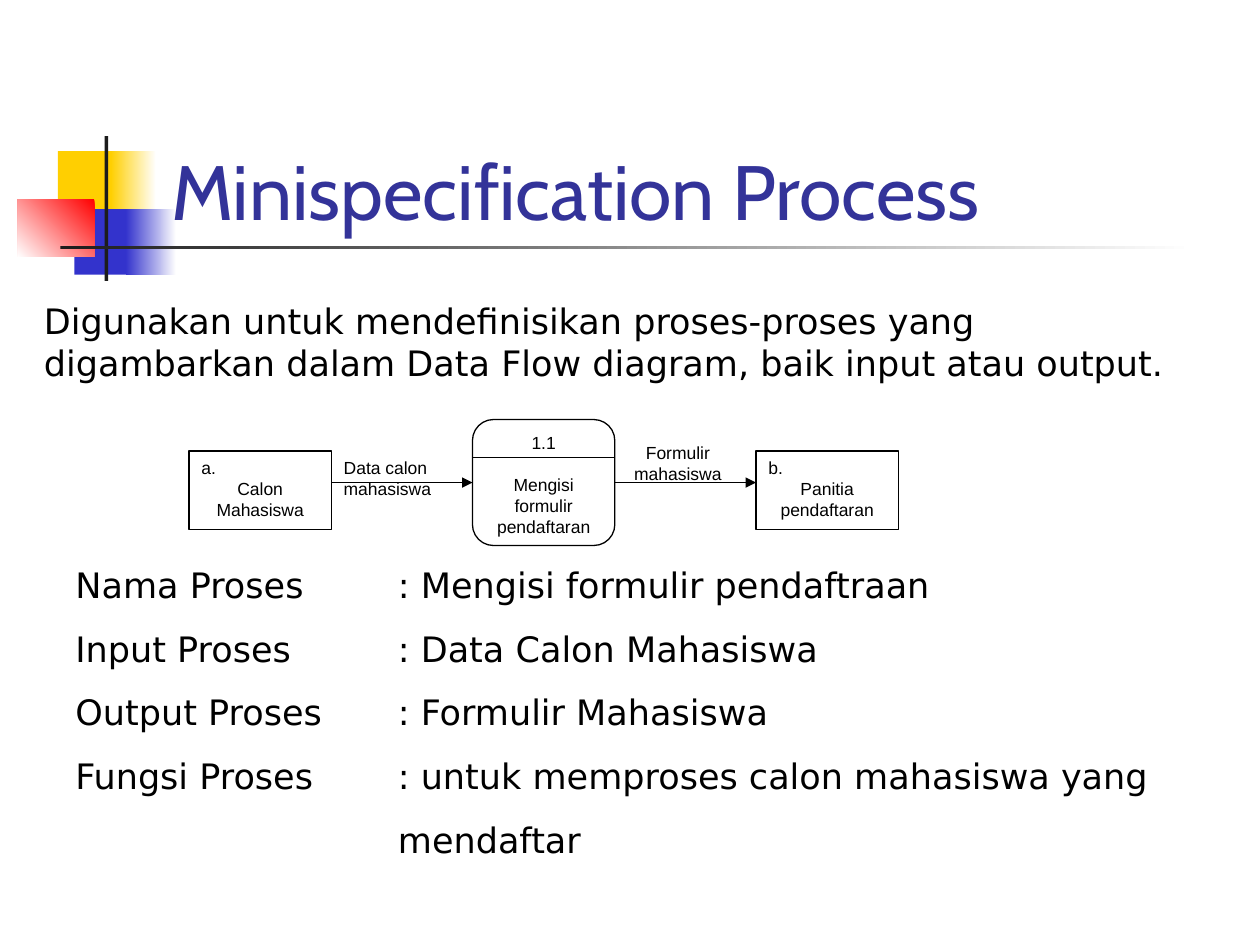
from lxml.etree import SubElement
from pptx import Presentation
from pptx.dml.color import RGBColor
from pptx.enum.shapes import MSO_CONNECTOR as Link, MSO_SHAPE as Shape
from pptx.enum.text import MSO_ANCHOR as Anchor, PP_ALIGN as Align
from pptx.oxml.ns import qn
from pptx.util import Inches, Pt

WHITE = RGBColor(0xFF, 0xFF, 0xFF)
BLACK = RGBColor(0, 0, 0)
INK = RGBColor(0x1C, 0x1C, 0x1C)
YELLOW = RGBColor(0xFF, 0xCF, 0x01)
BLUE = RGBColor(0x33, 0x33, 0xCC)
RED = RGBColor(0xFF, 0, 0)
TITLE_BLUE = RGBColor(0x33, 0x33, 0x99)

NODE_WIDTH = 1.13
BODY_FONT, LABEL_FONT = "DejaVu Sans", "Arial"


def add_block(page, kind, left, top, width, height, color, fade_to=None, angle=0):
    """Place a preset shape, plain or fading into a second colour."""
    block = page.shapes.add_shape(
        kind, Inches(left), Inches(top), Inches(width), Inches(height))
    block.shadow.inherit = False
    block.line.fill.background()
    if fade_to is None:
        block.fill.solid()
        block.fill.fore_color.rgb = color
    else:
        block.fill.gradient()
        block.fill.gradient_angle = angle
        for stop, shade in zip(block.fill.gradient_stops, (color, fade_to)):
            stop.color.rgb = shade
    return block


def add_text_box(page, left, top, width, height):
    box = page.shapes.add_textbox(
        Inches(left), Inches(top), Inches(width), Inches(height))
    box.text_frame.word_wrap = True
    return box.text_frame


def write(frame, text, size, font, color=BLACK, align=Align.LEFT, before=0):
    """Add one paragraph; the first call fills the empty one."""
    first = not frame.paragraphs[0].runs
    para = frame.paragraphs[0] if first else frame.add_paragraph()
    para.alignment = align
    if before and not first:
        para.space_before = Pt(before)
    span = para.add_run()
    span.text = text
    span.font.size = Pt(size)
    span.font.name = font
    span.font.color.rgb = color
    return para


def add_line(page, x1, y1, x2, y2, arrow=False):
    line = page.shapes.add_connector(
        Link.STRAIGHT, Inches(x1), Inches(y1), Inches(x2), Inches(y2))
    line.line.color.rgb = BLACK
    line.line.width = Pt(0.75)
    if arrow:
        SubElement(line.line._get_or_add_ln(), qn("a:tailEnd"), type="triangle")
    SubElement(line._element.spPr, qn("a:effectLst"))


def add_ornament(page, left, top):
    """Coloured squares with a vertical bar and a fading rule."""
    blocks = [
        (0.32, 0.12, 0.48, 0.52, YELLOW),
        (0.74, 0.12, 0.36, 0.52, YELLOW, WHITE),
        (0.45, 0.58, 0.46, 0.52, BLUE),
        (0.86, 0.58, 0.4, 0.52, BLUE, WHITE),
        (0, 0.5, 0.61, 0.46, RED, WHITE, 225),
        (0.69, 0, 0.03, 1.15, INK),
        (0.34, 0.87, 9, 0.03, INK, WHITE),
    ]
    for x, y, *rest in blocks:
        add_block(page, Shape.RECTANGLE, left + x, top + y, *rest)


def add_title(page, left, top, width, height):
    frame = add_text_box(page, left, top, width, height)
    frame.vertical_anchor = Anchor.BOTTOM
    write(frame, "Minispecification Process", 44, "Cabin", TITLE_BLUE)


def add_intro(page, left, top, width, height):
    frame = add_text_box(page, left, top, width, height)
    write(frame, "Digunakan untuk mendefinisikan proses-proses yang digambarkan "
          "dalam Data Flow diagram, baik input atau output.", 20, BODY_FONT)


def add_node(page, kind, left, top, height, tag, name, tag_align, gap=0):
    """Diagram node with a tag line above its centred name."""
    node = add_block(page, kind, left, top, NODE_WIDTH, height, WHITE)
    node.line.color.rgb = BLACK
    node.line.width = Pt(0.75)
    frame = node.text_frame
    frame.word_wrap = True
    frame.vertical_anchor = Anchor.TOP
    write(frame, tag, 10, LABEL_FONT, align=tag_align)
    write(frame, name, 10, LABEL_FONT, align=Align.CENTER, before=gap)


def add_flow_diagram(page, left, top):
    """Entity, process and entity, evenly spaced and joined by arrows."""
    pitch = 2.25
    source, process, target = (left + pitch * step for step in range(3))
    flow = top + 0.5

    # Process with its number compartment
    add_node(page, Shape.FLOWCHART_ALTERNATE_PROCESS, process, top, 1,
             "1.1", "Mengisi formulir pendaftaran", Align.CENTER, 12)
    add_line(page, process, top + 0.3, process + NODE_WIDTH, top + 0.3)

    # External entities
    for x, tag, name in ((source, "a.", "Calon Mahasiswa"),
                         (target, "b.", "Panitia pendaftaran")):
        add_node(page, Shape.RECTANGLE, x, top + 0.25, 0.62, tag, name, Align.LEFT)

    # Labelled flows
    flows = [
        (source, process, 0.25, "Data calon mahasiswa", Align.LEFT),
        (process, target, 0.13, "Formulir mahasiswa", Align.CENTER),
    ]
    for start, end, drop, label, align in flows:
        add_line(page, start + NODE_WIDTH, flow, end, flow, arrow=True)
        frame = add_text_box(page, start + NODE_WIDTH, top + drop, 1, 0.5)
        write(frame, label, 10, LABEL_FONT, align=align)


def add_details(page, left, top, width, height):
    """Process fields, with the values lined up at one tab stop."""
    frame = add_text_box(page, left, top, width, height)
    tab, value_indent = Inches(2.38), Inches(2.56)
    rows = [
        "Nama Proses\t: Mengisi formulir pendaftraan",
        "Input Proses\t: Data Calon Mahasiswa",
        "Output Proses\t: Formulir Mahasiswa",
        "Fungsi Proses\t: untuk memproses calon mahasiswa yang",
        "mendaftar",
    ]
    for text in rows:
        para = write(frame, text, 20, BODY_FONT, before=12.5)
        props = para._p.get_or_add_pPr()
        props.set("marL", str(value_indent))
        props.set("indent", str(-value_indent if "\t" in text else 0))
        stops = SubElement(props, qn("a:tabLst"))
        SubElement(stops, qn("a:tab"), pos=str(tab), algn="l")


def main():
    deck = Presentation()
    deck.slide_width, deck.slide_height = Inches(10), Inches(7.5)
    page = deck.slides.add_slide(deck.slide_layouts[6])
    add_ornament(page, 0.14, 1.08)
    add_title(page, 1.26, 0.67, 8.52, 1.25)
    add_intro(page, 0.25, 2.33, 9.42, 0.77)
    add_flow_diagram(page, 1.5, 3.33)
    add_details(page, 0.5, 4.42, 9, 2.46)
    deck.save("out.pptx")


if __name__ == "__main__":
    main()
